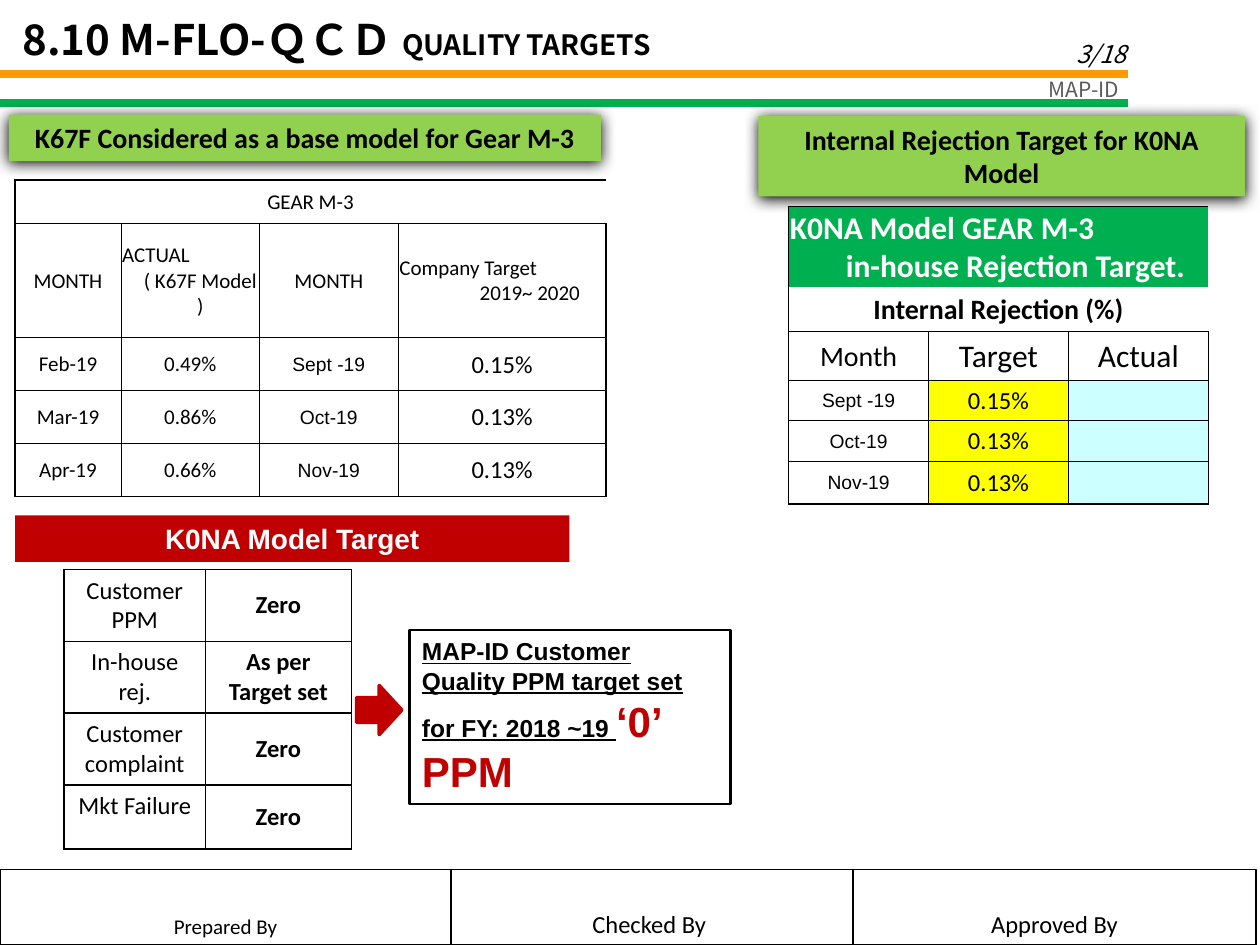
import pptx
import pptx.util
import pptx.dml.color
import pptx.enum.shapes
import pptx.enum.text
import pptx.oxml
import pptx.oxml.ns

Inches = pptx.util.Inches
Pt = pptx.util.Pt
RGBColor = pptx.dml.color.RGBColor
KIND = pptx.enum.shapes.MSO_SHAPE
ALIGN = pptx.enum.text.PP_ALIGN
ANCHOR = pptx.enum.text.MSO_ANCHOR

BLACK = RGBColor(0, 0, 0)
WHITE = RGBColor(255, 255, 255)
GREY = RGBColor(0x59, 0x59, 0x59)
ORANGE = RGBColor(0xFF, 0x99, 0)
GREEN = RGBColor(0, 0xB0, 0x50)
LIME = RGBColor(0x92, 0xD0, 0x50)
RED = RGBColor(0xC0, 0, 0)
YELLOW = RGBColor(255, 255, 0)
AQUA = RGBColor(0xCC, 255, 255)
SANS = "Noto Sans CJK JP"
NS = pptx.oxml.ns.nsdecls("a")
MONTHS = ("Sept -19", "Oct-19", "Nov-19")
GOALS = ("0.15%", "0.13%", "0.13%")


def style(font, size, face="Calibri", color=BLACK, bold=False):
    font.size, font.name, font.bold = Pt(size), face, bold
    font.color.rgb = color


def write(para, text, size, face="Calibri", color=BLACK, bold=False, align=ALIGN.CENTER):
    para.text = text
    para.alignment = align
    style(para.font, size, face, color, bold)


def label(shapes, box, text, size, face, color, align, anchor=ANCHOR.TOP):
    frame = shapes.add_textbox(*map(Inches, box)).text_frame
    frame.word_wrap = True
    frame.vertical_anchor = anchor
    write(frame.paragraphs[0], text, size, face, color, align=align)
    return frame.paragraphs[0]


def block(shapes, box, kind=KIND.RECTANGLE, fill=None, line=None, width=1, anchor=ANCHOR.TOP):
    shape = shapes.add_shape(kind, *map(Inches, box))
    shape.shadow.inherit = False
    if fill is None:
        shape.fill.background()
    else:
        shape.fill.solid()
        shape.fill.fore_color.rgb = fill
    if line is None:
        shape.line.fill.background()
    else:
        shape.line.color.rgb = line
        shape.line.width = Pt(width)
    shape.text_frame.word_wrap = True
    shape.text_frame.vertical_anchor = anchor
    return shape


def edge(cell, widths):
    props = cell._tc.get_or_add_tcPr()
    for spot, (side, width) in enumerate(zip("LRTB", widths)):
        fill = f'<a:solidFill><a:srgbClr val="{BLACK}"/></a:solidFill>' if width else "<a:noFill/>"
        props.insert(spot, pptx.oxml.parse_xml(
            f'<a:ln{side} {NS} w="{Pt(width)}">{fill}</a:ln{side}>'))


def grid(shapes, box, cols, rows, outer, inner, pads, wide=(), bare=()):
    table = shapes.add_table(len(rows), len(cols), *map(Inches, box)).table
    table.first_row = table.horz_banding = False
    for col, width in zip(table.columns, cols):
        col.width = Inches(width)
    for row, height in zip(table.rows, rows):
        row.height = Inches(height)
    last, end = len(rows) - 1, len(cols) - 1
    for r in range(len(rows)):
        for c in range(len(cols)):
            cell = table.cell(r, c)
            cell.fill.background()
            cell.vertical_anchor = ANCHOR.MIDDLE
            (cell.margin_left, cell.margin_top,
             cell.margin_right, cell.margin_bottom) = map(Inches, pads)
            side = 0 if r in wide else inner
            edge(cell, (outer if c == 0 else side,
                        outer if c == end else side,
                        outer if r == 0 else 0 if r - 1 in bare else inner,
                        outer if r == last else 0 if r in bare else inner))
    for r in wide:
        table.cell(r, 0).merge(table.cell(r, end))
    return table


def put(cell, text, size, face="Calibri", color=BLACK, bold=False, fill=None):
    write(cell.text_frame.paragraphs[0], text, size, face, color, bold)
    if fill is not None:
        cell.fill.solid()
        cell.fill.fore_color.rgb = fill


def pair(cell, first, second, size, shift=0, **look):
    put(cell, first, size, **look)
    cell.text_frame.paragraphs[0].alignment = ALIGN.LEFT
    para = cell.text_frame.add_paragraph()
    para._p.get_or_add_pPr().set("marL", str(Inches(shift)))
    look.pop("fill", None)
    write(para, second, size, **look)


def header(shapes, left, top, width):
    title = label(shapes, (left + 0.08, top + 0.06, 8.88, 0.5), "", 24, SANS, BLACK, ALIGN.LEFT)
    for text, size in (("8.10 M-FLO-ＱＣＤ ", 24), ("QUALITY TARGETS", 16)):
        run = title.add_run()
        run.text = text
        style(run.font, size, SANS, bold=True)
    page = label(shapes, (left + 6.96, top + 0.09, 2.08, 0.5), "3/18", 14, SANS, BLACK,
                 ALIGN.RIGHT, ANCHOR.BOTTOM)
    page.font.italic = True
    label(shapes, (left + 7.48, top + 0.56, 1.5, 0.3), "MAP-ID", 12, SANS, GREY, ALIGN.RIGHT)
    for drop, color in ((0.59, ORANGE), (0.82, GREEN)):
        y = Inches(top + drop)
        rule = shapes.add_connector(pptx.enum.shapes.MSO_CONNECTOR.STRAIGHT,
                                    Inches(left), y, Inches(left + width), y)
        rule.line.color.rgb = color
        rule.line.width = Pt(4.5)
        rule._element.spPr.append(pptx.oxml.parse_xml(f"<a:effectLst {NS}/>"))


def banner(shapes, box, text):
    shape = block(shapes, box, fill=LIME)
    write(shape.text_frame.paragraphs[0], text, 16, bold=True)
    glow = shape._element.spPr.find(pptx.oxml.ns.qn("a:effectLst"))
    glow.append(pptx.oxml.parse_xml(
        f'<a:outerShdw {NS} blurRad="{Pt(8.5)}" dist="{Pt(1)}" dir="5400000" rotWithShape="0">'
        f'<a:srgbClr val="{BLACK}"/></a:outerShdw>'))


def gear(shapes, left, top):
    banner(shapes, (left - 0.05, top, 4.7, 0.37), "K67F Considered as a base model for Gear M-3")
    table = grid(shapes, (left, top + 0.52, 4.7, 2.5), (0.84, 1.1, 1.1, 1.65),
                 (0.34, 0.91, 0.42, 0.42, 0.42), 1, 0.5, (0.01, 0.01, 0.01, 0), wide=(0,))
    put(table.cell(0, 0), "GEAR M-3", 12)
    for c in (0, 2):
        put(table.cell(1, c), "MONTH", 12)
    pair(table.cell(1, 1), "ACTUAL", "( K67F Model )", 12, 0.16)
    pair(table.cell(1, 3), "Company Target", "2019~ 2020", 12, 0.44)
    past = (("Feb-19", "0.49%"), ("Mar-19", "0.86%"), ("Apr-19", "0.66%"))
    for r, ((old, rate), month, goal) in enumerate(zip(past, MONTHS, GOALS), 2):
        put(table.cell(r, 0), old, 12)
        put(table.cell(r, 1), rate, 12)
        put(table.cell(r, 2), month, 11, "Arial")
        put(table.cell(r, 3), goal, 14)


def reject(shapes, left, top):
    banner(shapes, (left, top, 3.86, 0.64), "Internal Rejection Target for K0NA Model")
    table = grid(shapes, (left + 0.24, top + 0.72, 3.32, 2.35), (1.11, 1.11, 1.11),
                 (0.64, 0.35, 0.39, 0.32, 0.32, 0.34), 1, 0.5, (0.01, 0.01, 0.01, 0),
                 wide=(0, 1), bare=(0,))
    pair(table.cell(0, 0), "K0NA Model GEAR M-3", "in-house Rejection Target.", 18, 0.27,
         color=WHITE, bold=True, fill=GREEN)
    put(table.cell(1, 0), "Internal Rejection (%)", 16, bold=True)
    for c, (text, size) in enumerate((("Month", 16), ("Target", 18), ("Actual", 18))):
        put(table.cell(2, c), text, size)
    for r, (month, goal) in enumerate(zip(MONTHS, GOALS), 3):
        put(table.cell(r, 0), month, 11, "Arial")
        put(table.cell(r, 1), goal, 14, fill=YELLOW)
        put(table.cell(r, 2), "", 14, fill=AQUA)


def target(shapes, left, top):
    bar = block(shapes, (left, top, 4.4, 0.37), fill=RED)
    write(bar.text_frame.paragraphs[0], "K0NA Model Target", 16, "Arial", WHITE, True)
    table = grid(shapes, (left + 0.39, top + 0.43, 2.28, 2.21), (1.12, 1.16),
                 (0.57, 0.57, 0.57, 0.51), 1, 1, (0.1, 0.05, 0.1, 0.05))
    goals = (("Customer PPM", "Zero"), ("In-house rej.", "As per Target set"),
             ("Customer complaint", "Zero"), ("Mkt Failure", "Zero"))
    for r, (name, goal) in enumerate(goals):
        put(table.cell(r, 0), name, 14)
        table.cell(r, 0).vertical_anchor = ANCHOR.TOP
        put(table.cell(r, 1), goal, 14, bold=True)
    block(shapes, (left + 2.71, top + 1.35, 0.36, 0.39), KIND.RIGHT_ARROW, RED, RED, 2)
    note = block(shapes, (left + 3.13, top + 0.91, 2.55, 1.38), line=BLACK, width=1.5)
    para = note.text_frame.paragraphs[0]
    para.alignment = ALIGN.LEFT
    parts = (("MAP-ID Customer Quality PPM target set for FY: 2018 ~19 ", 14, BLACK, True),
             ("‘0’ PPM", 24, RED, False))
    for text, size, color, under in parts:
        run = para.add_run()
        run.text = text
        style(run.font, size, "Arial", color, True)
        run.font.underline = under


def footer(shapes, left, top, height):
    group = shapes.add_group_shape().shapes
    signs = (("Prepared By", 12, 3.58), ("Checked By ", 14, 3.19), ("Approved By", 14, 3.2))
    for text, size, width in signs:
        shape = block(group, (left, top, width, height), line=BLACK, width=0.75,
                      anchor=ANCHOR.BOTTOM)
        write(shape.text_frame.paragraphs[0], text, size)
        left += width


def main():
    deck = pptx.Presentation()
    deck.slide_width, deck.slide_height = Inches(10), Inches(7.5)
    shapes = deck.slides.add_slide(deck.slide_layouts[6]).shapes
    header(shapes, 0, 0, 8.95)
    target(shapes, 0.12, 4.09)
    reject(shapes, 6.02, 0.92)
    gear(shapes, 0.12, 0.91)
    footer(shapes, 0, 6.9, 0.6)
    deck.save("out.pptx")


if __name__ == "__main__":
    main()
